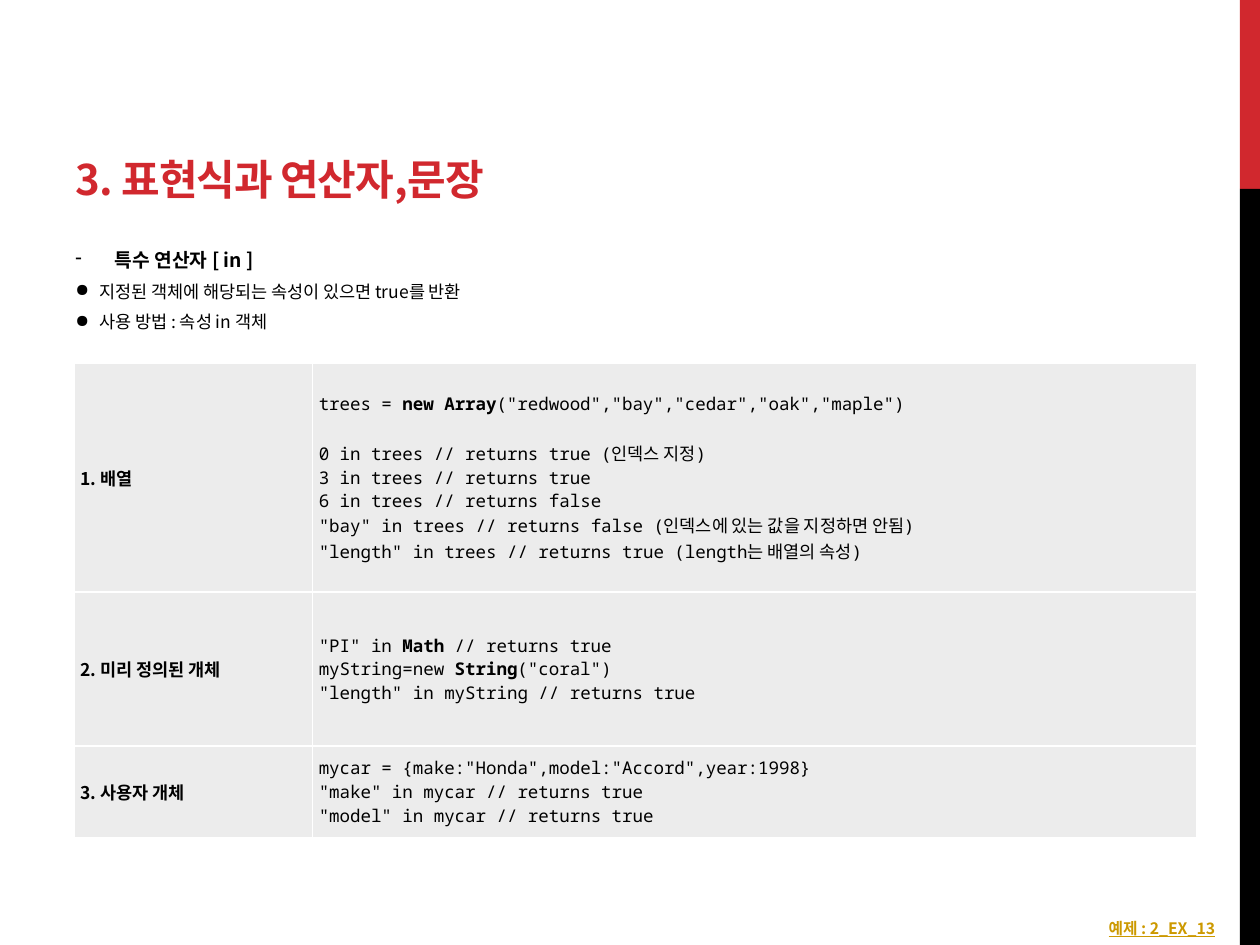
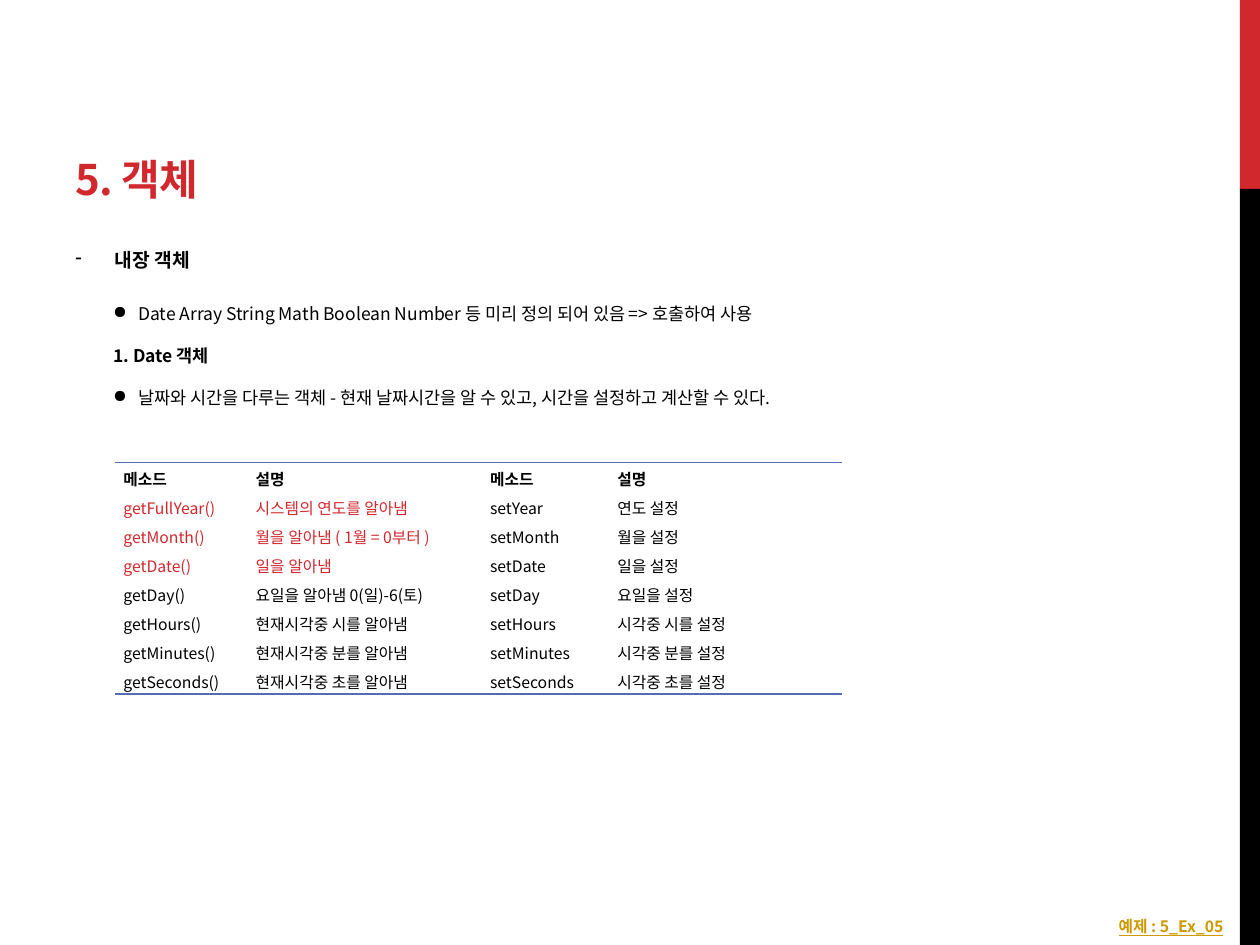
from dataclasses import dataclass

from lxml import etree
from pptx import Presentation
from pptx import util as u
from pptx.dml.color import RGBColor
from pptx.enum import shapes, text
from pptx.oxml import ns

Inches, Pt = u.Inches, u.Pt


@dataclass(frozen=True)
class Theme:
    red: str = "D1282E"
    black: str = "000000"
    white: str = "FFFFFF"
    gold: str = "CC9900"
    blue: str = "526DB0"
    cell_gray: str = "ECECEC"
    sans: str = "Noto Sans CJK KR"
    mono: str = "Noto Sans Mono"
    title_size: int = 24
    heading_size: int = 11
    body_size: int = 10
    small_size: int = 9
    plain_table: str = "{2D5ABB26-0587-4C30-8999-92F81FD0307C}"


THEME = Theme()
TITLE_ONLY = 5

OPERATOR_POINTS = [
    dict(line="**특수 연산자 [ in ]**", bullet="-", left=0.31, hang=0.31,
         after=5.5, size=THEME.heading_size),
    dict(line="지정된 객체에 해당되는 속성이 있으면 true를 반환", bullet="●",
         left=0.19, hang=0.19, after=5.5),
    dict(line="사용 방법 : 속성 in 객체", bullet="●", left=0.19, hang=0.19),
]
OPERATOR_EXAMPLES = [
    ("1. 배열", 1.82, [
        'trees = **new Array**("redwood","bay","cedar","oak","maple")',
        "0 in trees // returns true (인덱스 지정)",
        "3 in trees // returns true",
        "6 in trees // returns false",
        '"bay" in trees // returns false (인덱스에 있는 값을 지정하면 안됨)',
        '"length" in trees // returns true (length는 배열의 속성)']),
    ("2. 미리 정의된 개체", 1.22, [
        '"PI" in **Math** // returns true',
        'myString=new **String**("coral")',
        '"length" in myString // returns true']),
    ("3. 사용자 개체", 0.73, [
        'mycar = {make:"Honda",model:"Accord",year:1998}',
        '"make" in mycar // returns true',
        '"model" in mycar // returns true']),
]
OBJECT_POINTS = [
    dict(line="**내장 객체**", bullet="-", left=0.31, hang=0.31,
         size=THEME.heading_size),
    dict(line="Date Array String Math Boolean Number 등 미리 정의 되어 있음 => 호출하여 사용",
         bullet="●", left=0.5, hang=0.2, before=18),
    dict(line="**1. Date 객체**", left=0.3, before=12),
    dict(line="날짜와 시간을 다루는 객체 - 현재 날짜시간을 알 수 있고, 시간을 설정하고 계산할 수 있다.",
         bullet="●", left=0.5, hang=0.2, before=12),
]
DATE_METHODS = [
    ("메소드", "설명", "메소드", "설명"),
    ("getFullYear()", "시스템의 연도를 알아냄", "setYear", "연도 설정"),
    ("getMonth()", "월을 알아냄 ( 1월 = 0부터 )", "setMonth", "월을 설정"),
    ("getDate()", "일을 알아냄", "setDate", "일을 설정"),
    ("getDay()", "요일을 알아냄 0(일)-6(토)", "setDay", "요일을 설정"),
    ("getHours()", "현재시각중 시를 알아냄", "setHours", "시각중 시를 설정"),
    ("getMinutes()", "현재시각중 분를 알아냄", "setMinutes", "시각중 분를 설정"),
    ("getSeconds()", "현재시각중 초를 알아냄", "setSeconds", "시각중 초를 설정"),
]


def inches(box):
    return [Inches(length) for length in box]


def format_object(target, values):
    for name, value in values.items():
        setattr(target, name, value)


def write(paragraph, line, color=THEME.black, latin=THEME.sans,
          size=THEME.body_size, **font_values):
    """Add the line's runs; parts between ** marks are bold."""
    for index, part in enumerate(line.split("**")):
        if not part:
            continue
        run = paragraph.add_run()
        run.text = part
        format_object(run.font, {"size": Pt(size), "bold": index % 2 == 1,
                                 "name": latin, **font_values})
        run.font.color.rgb = RGBColor.from_string(color)
        east_asian = etree.SubElement(run.font._element, ns.qn("a:ea"))
        east_asian.set("typeface", THEME.sans)


def add_paragraph(frame, index):
    return frame.paragraphs[0] if index == 0 else frame.add_paragraph()


def set_bullet(paragraph, bullet, left, hang):
    properties = paragraph._p.get_or_add_pPr()
    properties.set("marL", str(Inches(left)))
    properties.set("indent", str(-Inches(hang)))
    if bullet:
        etree.SubElement(properties, ns.qn("a:buChar")).set("char", bullet)
    else:
        etree.SubElement(properties, ns.qn("a:buNone"))


def set_border(cell, sides, color):
    properties = cell._tc.get_or_add_tcPr()
    for position, side in enumerate(sides):
        line = etree.Element(ns.qn(f"a:ln{side}"), w=str(Pt(1)))
        fill = etree.SubElement(line, ns.qn("a:solidFill"))
        etree.SubElement(fill, ns.qn("a:srgbClr")).set("val", color)
        properties.insert(position, line)


def add_bands(slide):
    left, width = 9.84, 0.16
    for top, height, color in ((0, 1.5, THEME.red), (1.5, 6, THEME.black)):
        band = slide.shapes.add_shape(shapes.MSO_SHAPE.RECTANGLE,
                                      *inches((left, top, width, height)))
        band.shadow.inherit = False
        band.fill.solid()
        band.fill.fore_color.rgb = RGBColor.from_string(color)
        band.line.fill.background()


def add_title(slide, title, box):
    shape = slide.shapes.title
    format_object(shape, dict(zip(("left", "top", "width", "height"), inches(box))))
    format_object(shape.text_frame, {
        "vertical_anchor": text.MSO_ANCHOR.BOTTOM,
        "auto_size": text.MSO_AUTO_SIZE.NONE, "word_wrap": True})
    paragraph = shape.text_frame.paragraphs[0]
    paragraph.alignment = text.PP_ALIGN.LEFT
    write(paragraph, f"**{title}**", THEME.red, size=THEME.title_size)
    for run in paragraph.runs:
        run.font._element.set("spc", "-60")


def add_points(slide, points, box):
    frame = slide.shapes.add_textbox(*inches(box)).text_frame
    frame.word_wrap = True
    for index, point in enumerate(points):
        paragraph = add_paragraph(frame, index)
        set_bullet(paragraph, point.get("bullet"), point["left"], point.get("hang", 0))
        format_object(paragraph, {"space_before": Pt(point.get("before", 0)),
                                  "space_after": Pt(point.get("after", 0))})
        write(paragraph, point["line"], size=point.get("size", THEME.body_size))


def add_example_label(slide, label, box):
    frame = slide.shapes.add_textbox(*inches(box)).text_frame
    frame.word_wrap = True
    write(frame.paragraphs[0], f"**{label}**", THEME.gold,
          size=THEME.small_size, underline=True)


def add_plain_table(slide, box, column_widths, row_heights):
    table = slide.shapes.add_table(len(row_heights), len(column_widths),
                                   *inches(box)).table
    format_object(table, {"first_row": False, "horz_banding": False})
    table._tbl.tblPr.find(ns.qn("a:tableStyleId")).text = THEME.plain_table
    for column, width in zip(table.columns, column_widths):
        column.width = Inches(width)
    for row, height in zip(table.rows, row_heights):
        row.height = Inches(height)
    return table


def set_margins(cell, side, top, bottom):
    format_object(cell, {"margin_left": Inches(side), "margin_right": Inches(side),
                         "margin_top": Inches(top), "margin_bottom": Inches(bottom)})


def add_code_table(slide, examples, box):
    label_width = 1.89
    table = add_plain_table(slide, box, (label_width, box[2] - label_width),
                            [height for _, height, _ in examples])
    for row, (label, _, code) in zip(table.rows, examples):
        for cell in row.cells:
            set_margins(cell, 0.05, 0.03, 0.03)
            cell.vertical_anchor = text.MSO_ANCHOR.MIDDLE
            cell.fill.solid()
            cell.fill.fore_color.rgb = RGBColor.from_string(THEME.cell_gray)
            set_border(cell, "LRTB", THEME.white)
        label_cell, code_cell = row.cells
        write(label_cell.text_frame.paragraphs[0], f"**{label}**")
        for index, line in enumerate(code):
            paragraph = add_paragraph(code_cell.text_frame, index)
            write(paragraph, line, latin=THEME.mono)
    array_code = table.cell(0, 1).text_frame.paragraphs
    array_code[1].space_before = Pt(14)


def add_method_table(slide, methods, box):
    row_count, red_rows = len(methods), range(1, 4)
    table = add_plain_table(slide, box, (1.05, 1.86, 1.01, 1.85),
                            [box[3] / row_count] * row_count)
    for row_index, values in enumerate(methods):
        for column_index, value in enumerate(values):
            cell = table.cell(row_index, column_index)
            set_margins(cell, 0.07, 0.04, 0)
            cell.fill.background()
            if row_index == 0:
                set_border(cell, "T", THEME.blue)
            elif row_index == row_count - 1:
                set_border(cell, "B", THEME.blue)
            is_red = row_index in red_rows and column_index < 2
            paragraph = cell.text_frame.paragraphs[0]
            paragraph.alignment = text.PP_ALIGN.JUSTIFY
            write(paragraph, value if row_index else f"**{value}**",
                  THEME.red if is_red else THEME.black, size=THEME.small_size)


def add_lesson_slide(presentation, title):
    slide = presentation.slides.add_slide(presentation.slide_layouts[TITLE_ONLY])
    add_bands(slide)
    add_title(slide, title, (0.5, 0.17, 8.36, 1.5))
    return slide


def build_operator_slide(presentation):
    slide = add_lesson_slide(presentation, "3. 표현식과 연산자,문장")
    add_points(slide, OPERATOR_POINTS, (0.5, 1.92, 8.33, 1.44))
    add_example_label(slide, "예제 : 2_EX_13", (8.7, 7.24, 1.14, 0.25))
    add_code_table(slide, OPERATOR_EXAMPLES, (0.59, 2.88, 8.91, 3.77))


def build_object_slide(presentation):
    slide = add_lesson_slide(presentation, "5. 객체")
    add_points(slide, OBJECT_POINTS, (0.5, 1.92, 9.22, 5.33))
    add_example_label(slide, "예제 : 5_Ex_05", (8.78, 7.23, 1.18, 0.25))
    add_method_table(slide, DATE_METHODS, (0.91, 3.67, 5.77, 1.84))


def main():
    presentation = Presentation()
    format_object(presentation, {"slide_width": Inches(10), "slide_height": Inches(7.5)})
    build_operator_slide(presentation)
    build_object_slide(presentation)
    presentation.save("out.pptx")


if __name__ == "__main__":
    main()
